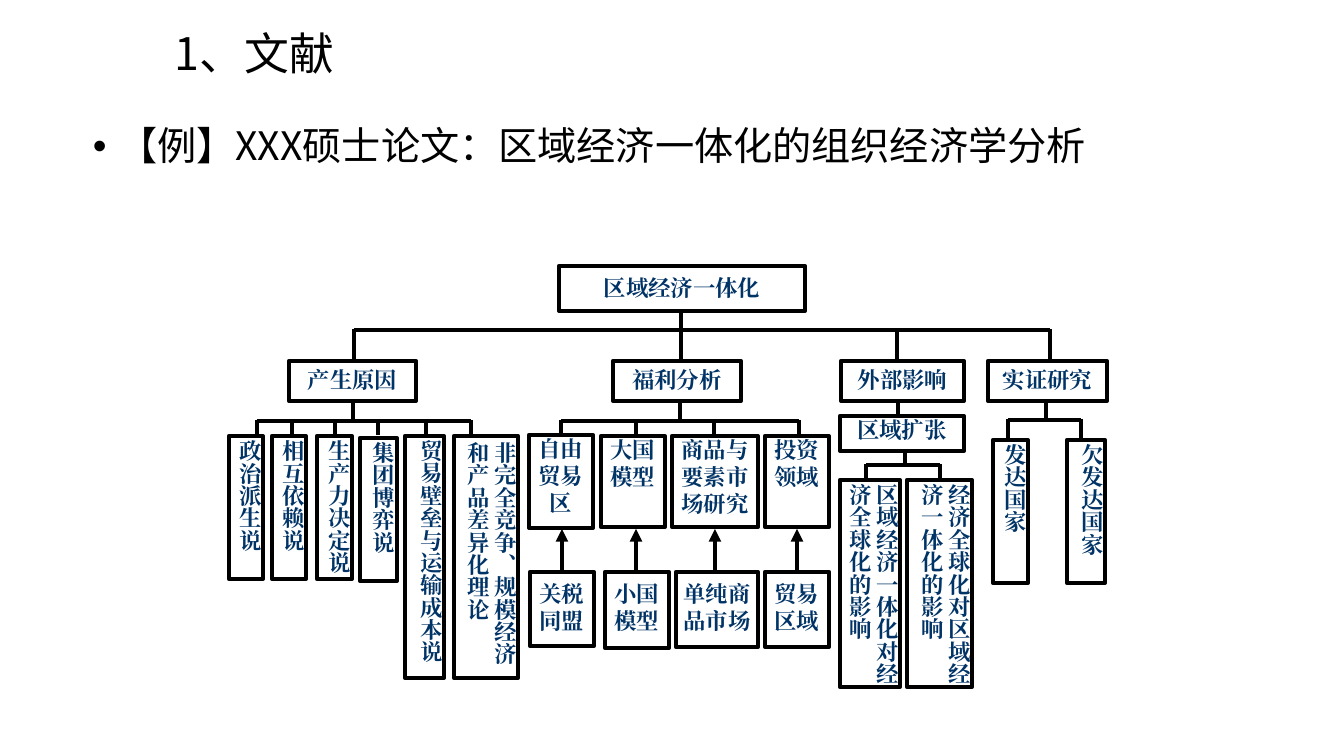
from lxml import etree
from pptx import Presentation
from pptx import util as u
from pptx.dml import color
from pptx.enum import shapes, text
from pptx.oxml import ns

SCALE = 12192000 / 1344
CENTER = text.PP_ALIGN.CENTER
JUSTIFY = text.PP_ALIGN.JUSTIFY


def px(value):
    return u.Emu(round(value * SCALE))


def rgb(value):
    return color.RGBColor.from_string(value)


def add_xml(parent, tag, **attributes):
    return etree.SubElement(parent, ns.qn(tag), **attributes)


class Chart:
    heading_font = "Noto Sans CJK SC"
    box_font = "Times New Roman"
    ink = "000000"
    box_ink = "003366"
    paper = "FFFFFF"
    line_width = u.Pt(3)

    def __init__(self, slide):
        self.slide = slide

    def format_text(self, frame, size, font, ink, bold, align):
        for paragraph in frame.paragraphs:
            paragraph.alignment = align
            for run in paragraph.runs:
                run.font.size = u.Pt(size)
                run.font.name = font
                run.font.bold = bold
                run.font.color.rgb = rgb(ink)
                add_xml(run.font._element, "a:ea", typeface=font)

    def heading(self, words, left, top, width, height, size, anchor, bullet=False):
        shape = self.slide.shapes.add_textbox(px(left), px(top), px(width), px(height))
        frame = shape.text_frame
        frame.word_wrap = True
        frame.vertical_anchor = anchor
        frame.text = words
        self.format_text(frame, size, self.heading_font, self.ink, False, text.PP_ALIGN.LEFT)
        paragraph = frame.paragraphs[0]
        paragraph.line_spacing = 0.9
        if bullet:
            paragraph.space_before = u.Pt(10)
            properties = paragraph._p.get_or_add_pPr()
            properties.set("marL", "228600")
            properties.set("indent", "-228600")
            add_xml(properties, "a:buFont", typeface="Arial")
            add_xml(properties, "a:buChar", char="•")

    def box(self, words, left, top, width, height, inset=0, align=CENTER, vertical=False):
        shape = self.slide.shapes.add_shape(
            shapes.MSO_SHAPE.RECTANGLE, px(left), px(top), px(width), px(height))
        shape.shadow.inherit = False
        shape.fill.solid()
        shape.fill.fore_color.rgb = rgb(self.paper)
        shape.line.color.rgb = rgb(self.ink)
        shape.line.width = self.line_width
        frame = shape.text_frame
        frame.word_wrap = True
        frame.vertical_anchor = text.MSO_ANCHOR.TOP
        frame.margin_left = frame.margin_right = frame.margin_bottom = 0
        frame.margin_top = px(inset)
        frame.text = words
        self.format_text(frame, 16, self.box_font, self.box_ink, True, align)
        if vertical:
            frame._txBody.bodyPr.set("vert", "eaVert")

    def column(self, words, left, top, width, height, inset=4, align=JUSTIFY):
        self.box(words, left, top, width, height, inset, align, vertical=True)

    def line(self, x1, y1, x2, y2, arrow=False):
        connector = self.slide.shapes.add_connector(
            shapes.MSO_CONNECTOR.STRAIGHT, px(x1), px(y1), px(x2), px(y2))
        connector.line.color.rgb = rgb(self.ink)
        connector.line.width = self.line_width
        if arrow:
            add_xml(connector.line._get_or_add_ln(), "a:tailEnd", type="triangle")
        add_xml(connector._element.spPr, "a:effectLst")

    def branch(self, parent_x, parent_bottom, bus_y, child_top, child_xs):
        self.line(parent_x, parent_bottom, parent_x, bus_y)
        self.line(child_xs[0], bus_y, child_xs[-1], bus_y)
        for x in child_xs:
            self.line(x, bus_y - 1, x, child_top)


presentation = Presentation()
presentation.slide_width = px(1344)
presentation.slide_height = px(756)
chart = Chart(presentation.slides.add_slide(presentation.slide_layouts[6]))

chart.heading("1、文献", 165, 5, 1159, 101, 32, text.MSO_ANCHOR.MIDDLE)
chart.heading("【例】XXX硕士论文:区域经济一体化的组织经济学分析".replace(":", "\uff1a"),
              83, 122, 1241, 541, 28, text.MSO_ANCHOR.TOP, bullet=True)

chart.box("区域经济一体化", 559, 266, 246, 45, 8)
for words, left, width in (("产生原因", 289, 127), ("福利分析", 613, 128),
                           ("外部影响", 841, 123), ("实证研究", 988, 119)):
    chart.box(words, left, 361, width, 40, 5)
chart.box("区域扩张", 840, 416, 124, 35)

for words, left, top, width in (
        ("政治派生说", 229, 436, 34), ("相互依赖说", 272, 436, 34),
        ("生产力决定说", 317, 436, 35), ("集团博弈说", 360, 438, 37),
        ("发达国家", 993, 440, 35), ("欠发达国家", 1067, 440, 38)):
    chart.column(words, left, top, width, 143)
chart.column("贸易壁垒与运输成本说", 405, 436, 39, 242, align=CENTER)
chart.column("非完全竞争、规模经济\n和产品差异化理论", 454, 436, 64, 242, 6)
chart.column("区域经济一体化对经济全球化的影响", 840, 480, 60, 207)
chart.column("经济全球化对区域经济一体化的影响", 907, 480, 65, 207)

for words, left, top, width, height in (
        ("自由\n贸易区", 529, 435, 64, 93), ("大国\n模型", 601, 436, 64, 91),
        ("商品与要素市场研究", 672, 436, 86, 91), ("投资\n领域", 765, 436, 64, 91)):
    chart.box(words, left, top, width, height)
for words, left, width, height in (
        ("关税\n同盟", 530, 64, 74), ("小国\n模型", 605, 64, 76),
        ("单纯商品市场", 676, 82, 75), ("贸易\n区域", 765, 64, 75)):
    chart.box(words, left, 572, width, height, 8)

chart.branch(681, 313, 330, 360, (354, 681, 897, 1050))
chart.branch(353, 401, 421, 435, (257, 292, 335, 378, 426, 471))
chart.branch(680, 402, 421, 436, (561, 636, 714, 799))
chart.branch(905, 450, 465, 479, (866, 940))
chart.branch(1046, 401, 420, 440, (1008, 1081))
chart.line(898, 401, 898, 418)
for x in (562, 636, 715, 797):
    chart.line(x, 572, x, 529, arrow=True)

presentation.save("out.pptx")
